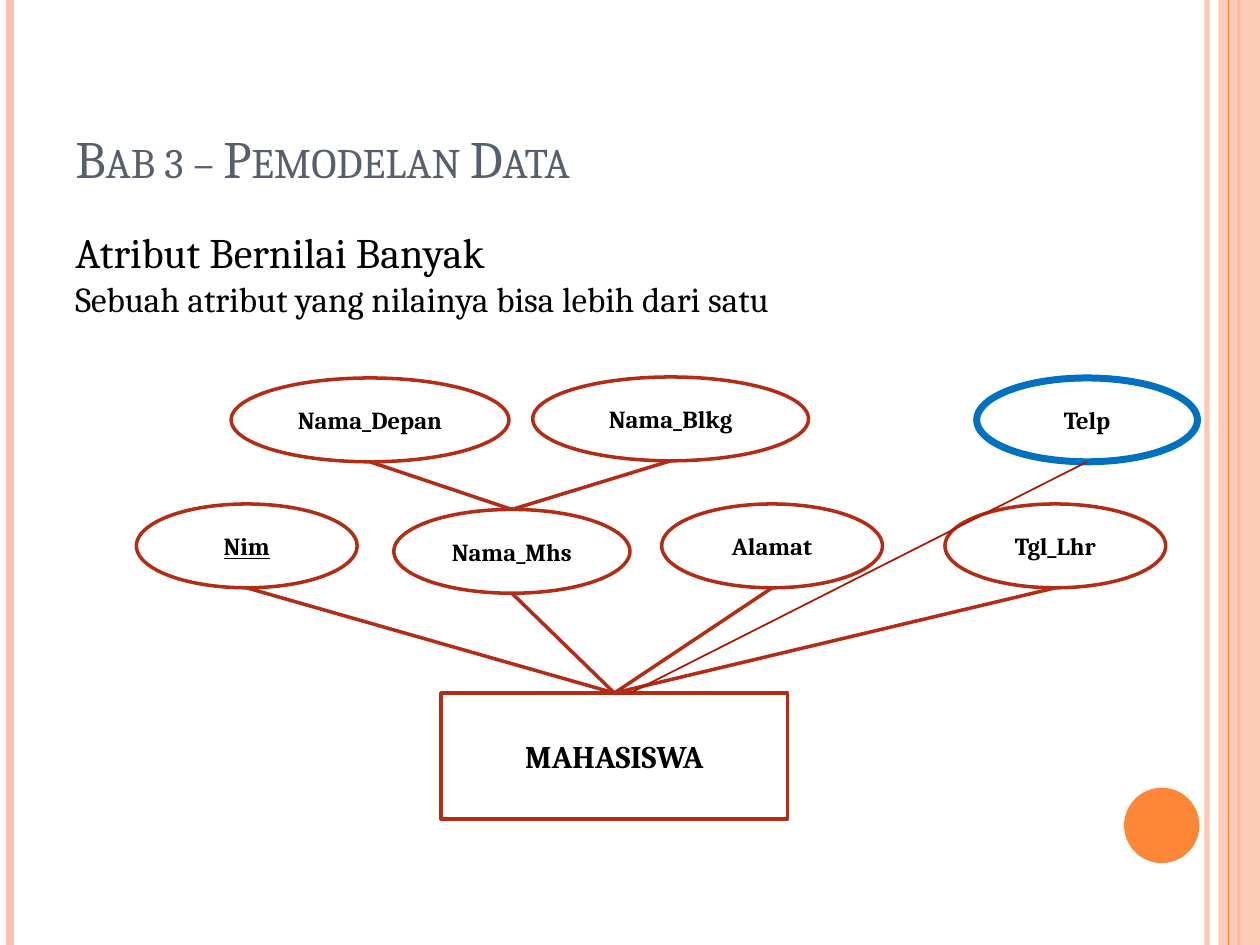
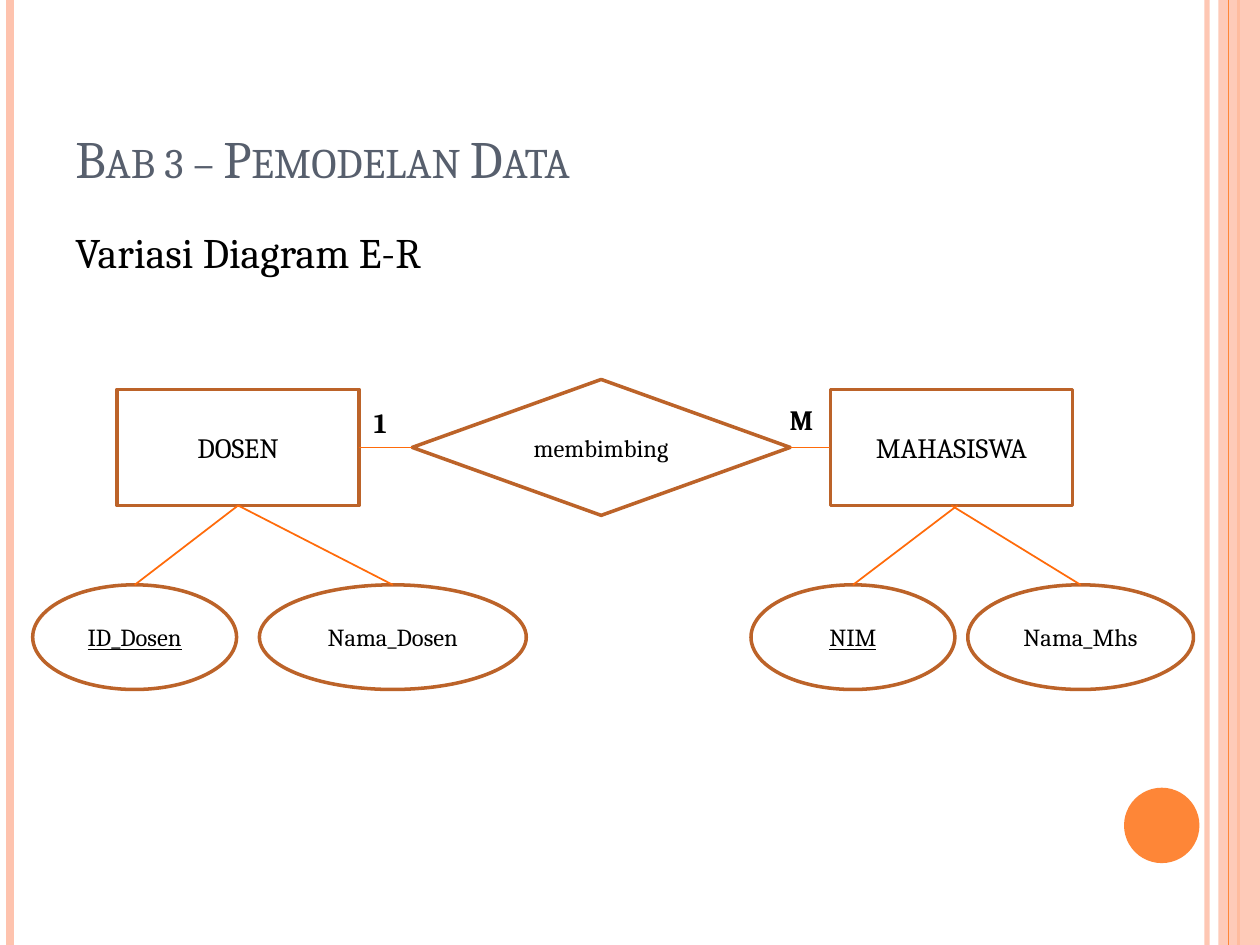
import pptx
import pptx.dml.color
import pptx.enum.shapes
import pptx.enum.text
import pptx.oxml
import pptx.oxml.ns
import pptx.util

Cm, Pt = pptx.util.Cm, pptx.util.Pt
KINDS = pptx.enum.shapes.MSO_SHAPE
ALIGN = pptx.enum.text.PP_ALIGN
ANCHOR = pptx.enum.text.MSO_ANCHOR

# Shared look; all places and lengths are in cm
WIDTH, HEIGHT = 25.4, 19.05
FONT = "Cambria"
PEACH, ORANGE, SLATE = "FEC3AE", "FE8637", "575F6D"
RED, DARK_RED, BLUE = "B32C16", "AC1800", "0070C0"
BROWN, BRIGHT_ORANGE = "BC6329", "FF6B0A"
TITLE = "Bab 3 – Pemodelan Data"

# Content: nodes are name: (kind, left, top, width, height, own format);
# links are (from, side, to, side, own format)
ENTITY, ATTRIBUTE, RELATION = KINDS.RECTANGLE, KINDS.OVAL, KINDS.FLOWCHART_DECISION
OVAL_H, TALL_OVAL_H = 1.69, 2.11
LOW_ROW, HIGH_ROW = 10.16, 7.62
ENTITY_TOP, ENTITY_W, ENTITY_H = 7.85, 4.88, 2.34
ATTRIBUTE_TOP = 11.79

SLIDES = [
    {
        "lines": [("Atribut Bernilai Banyak", 24),
                  ("Sebuah atribut yang nilainya bisa lebih dari satu", 20)],
        "node_format": {"color": RED, "fill": "FFFFFF", "bold": True},
        "link_format": {"color": RED, "weight": 2},
        "nodes": {
            "MAHASISWA": (ENTITY, 8.89, 13.97, 6.99, 2.54, {"size": 18}),
            "Nim": (ATTRIBUTE, 2.75, LOW_ROW, 4.45, OVAL_H, {"underline": True}),
            "Nama_Mhs": (ATTRIBUTE, 7.94, 10.27, 4.76, OVAL_H, {}),
            "Alamat": (ATTRIBUTE, 13.34, LOW_ROW, 4.45, OVAL_H, {}),
            "Tgl_Lhr": (ATTRIBUTE, 19.05, LOW_ROW, 4.45, OVAL_H, {}),
            "Nama_Depan": (ATTRIBUTE, 4.66, HIGH_ROW, 5.6, OVAL_H, {}),
            "Nama_Blkg": (ATTRIBUTE, 10.74, 7.6, 5.56, OVAL_H, {}),
            "Telp": (ATTRIBUTE, 19.69, HIGH_ROW, 4.45, OVAL_H,
                     {"color": BLUE, "weight": 4}),
        },
        "links": [
            *(("MAHASISWA", "top", name, "bottom", {})
              for name in ("Nim", "Nama_Mhs", "Alamat", "Tgl_Lhr")),
            *(("Nama_Mhs", "top", name, "bottom", {})
              for name in ("Nama_Depan", "Nama_Blkg")),
            ("MAHASISWA", "top", "Telp", "bottom",
             {"color": DARK_RED, "weight": 1, "shift": 0.32}),
        ],
        "cardinalities": [],
    },
    {
        "lines": [("Variasi Diagram E-R", 24)],
        "node_format": {"color": BROWN},
        "link_format": {"color": BRIGHT_ORANGE, "weight": 1},
        "nodes": {
            "DOSEN": (ENTITY, 2.36, ENTITY_TOP, ENTITY_W, ENTITY_H, {"size": 16}),
            "MAHASISWA": (ENTITY, 16.74, ENTITY_TOP, ENTITY_W, ENTITY_H, {"size": 16}),
            "membimbing": (RELATION, 8.31, 7.65, 7.62, 2.74, {}),
            "ID_Dosen": (ATTRIBUTE, 0.66, ATTRIBUTE_TOP, 4.11, TALL_OVAL_H,
                         {"underline": True}),
            "Nama_Dosen": (ATTRIBUTE, 5.23, ATTRIBUTE_TOP, 5.38, TALL_OVAL_H, {}),
            "NIM": (ATTRIBUTE, 15.14, ATTRIBUTE_TOP, 4.11, TALL_OVAL_H,
                    {"underline": True}),
            "Nama_Mhs": (ATTRIBUTE, 19.51, ATTRIBUTE_TOP, 4.55, TALL_OVAL_H, {}),
        },
        "links": [
            ("DOSEN", "bottom", "ID_Dosen", "top", {}),
            ("DOSEN", "bottom", "Nama_Dosen", "top", {}),
            ("MAHASISWA", "bottom", "NIM", "top", {"shift": 0.12}),
            ("MAHASISWA", "bottom", "Nama_Mhs", "top", {}),
            ("DOSEN", "right", "membimbing", "left", {}),
            ("membimbing", "right", "MAHASISWA", "left", {}),
        ],
        "cardinalities": [("1", 7.29, 8.05, 0.84, 0.94),
                          ("M", 15.67, 8.0, 1.07, 0.94)],
    },
]


def rgb(value):
    return pptx.dml.color.RGBColor.from_string(value)


def paint(color_format, value, alpha=None):
    """Set a solid colour, with opacity in percent if given."""
    color_format.solid()
    color_format.fore_color.rgb = rgb(value)
    if alpha is not None:
        color = color_format._xPr.find(".//" + pptx.oxml.ns.qn("a:srgbClr"))
        color.append(pptx.oxml.parse_xml(
            f'<a:alpha {pptx.oxml.ns.nsdecls("a")} val="{alpha * 1000}"/>'))


def write(shape, lines, color="000000", bold=False, underline=False,
          small_caps=False, align=ALIGN.LEFT, anchor=ANCHOR.TOP, wrap=True):
    """Fill a shape with one paragraph of (text, size) lines."""
    frame = shape.text_frame
    frame.word_wrap = wrap
    frame.vertical_anchor = anchor
    paragraph = frame.paragraphs[0]
    paragraph.alignment = align
    for number, (text, size) in enumerate(lines):
        if number:
            paragraph.add_line_break()
        run = paragraph.add_run()
        run.text = text
        font = run.font
        font.name, font.size = FONT, Pt(size)
        font.bold, font.underline = bold, underline
        font.color.rgb = rgb(color)
        if small_caps:
            run._r.get_or_add_rPr().set("cap", "small")


def add_text(slide, place, lines, **text_format):
    box = slide.shapes.add_textbox(*map(Cm, place))
    write(box, lines, **text_format)


def add_figure(slide, kind, place, fill=None, alpha=None, color=None, weight=2):
    figure = slide.shapes.add_shape(kind, *map(Cm, place))
    figure.shadow.inherit = False
    if fill:
        paint(figure.fill, fill, alpha)
    else:
        figure.fill.background()
    if color:
        paint(figure.line.fill, color)
        figure.line.width = Pt(weight)
    else:
        figure.line.fill.background()
    return figure


def add_line(slide, start, end, color, weight, alpha=None):
    line = slide.shapes.add_connector(
        pptx.enum.shapes.MSO_CONNECTOR.STRAIGHT, *map(Cm, start + end))
    paint(line.line.fill, color, alpha)
    line.line.width = Pt(weight)
    line._element.spPr.append(pptx.oxml.parse_xml(
        f'<a:effectLst {pptx.oxml.ns.nsdecls("a")}/>'))


def side_point(node, side):
    """Middle of one side of a node."""
    _, left, top, width, height, _ = node
    across, down = {"top": (0.5, 0), "bottom": (0.5, 1),
                    "left": (0, 0.5), "right": (1, 0.5)}[side]
    return left + across * width, top + down * height


def add_frame(slide):
    """Edge bands, corner disc and title found on every slide."""
    def band(x, color, weight, alpha=None):
        add_line(slide, (x, 0), (x, HEIGHT), color, weight, alpha)

    band(24.33, PEACH, 3, 93)
    band(0.21, PEACH, 4.5)
    band(24.97, ORANGE, 1.5)
    add_figure(slide, KINDS.RECTANGLE, (24.56, 0, 0.84, HEIGHT), PEACH, 87)
    band(24.77, ORANGE, 0.75)
    add_figure(slide, KINDS.OVAL, (22.66, 15.88, 1.52, 1.52), ORANGE)
    add_text(slide, (1.27, 0.76, 20.75, 3.18), [(TITLE, 30)], color=SLATE,
             small_caps=True, anchor=ANCHOR.BOTTOM)


def add_diagram(slide, content):
    nodes = content["nodes"]
    for name, (kind, *place, own) in nodes.items():
        look = {**content["node_format"], **own}
        size = look.pop("size", 14)
        bold = look.pop("bold", False)
        underline = look.pop("underline", False)
        figure = add_figure(slide, kind, place, **look)
        write(figure, [(name, size)], bold=bold, underline=underline,
              align=ALIGN.CENTER, anchor=ANCHOR.MIDDLE)
    for source, source_side, target, target_side, own in content["links"]:
        look = {**content["link_format"], **own}
        x, y = side_point(nodes[source], source_side)
        start = (x + look.pop("shift", 0), y)
        add_line(slide, start, side_point(nodes[target], target_side), **look)
    for text, *place in content["cardinalities"]:
        add_text(slide, place, [(text, 16)], bold=True, wrap=False)


def main():
    deck = pptx.Presentation()
    deck.slide_width, deck.slide_height = Cm(WIDTH), Cm(HEIGHT)
    for content in SLIDES:
        slide = deck.slides.add_slide(deck.slide_layouts[6])
        add_frame(slide)
        add_text(slide, (1.27, 4.45, 20.75, 13.54), content["lines"])
        add_diagram(slide, content)
    deck.save("out.pptx")


if __name__ == "__main__":
    main()
